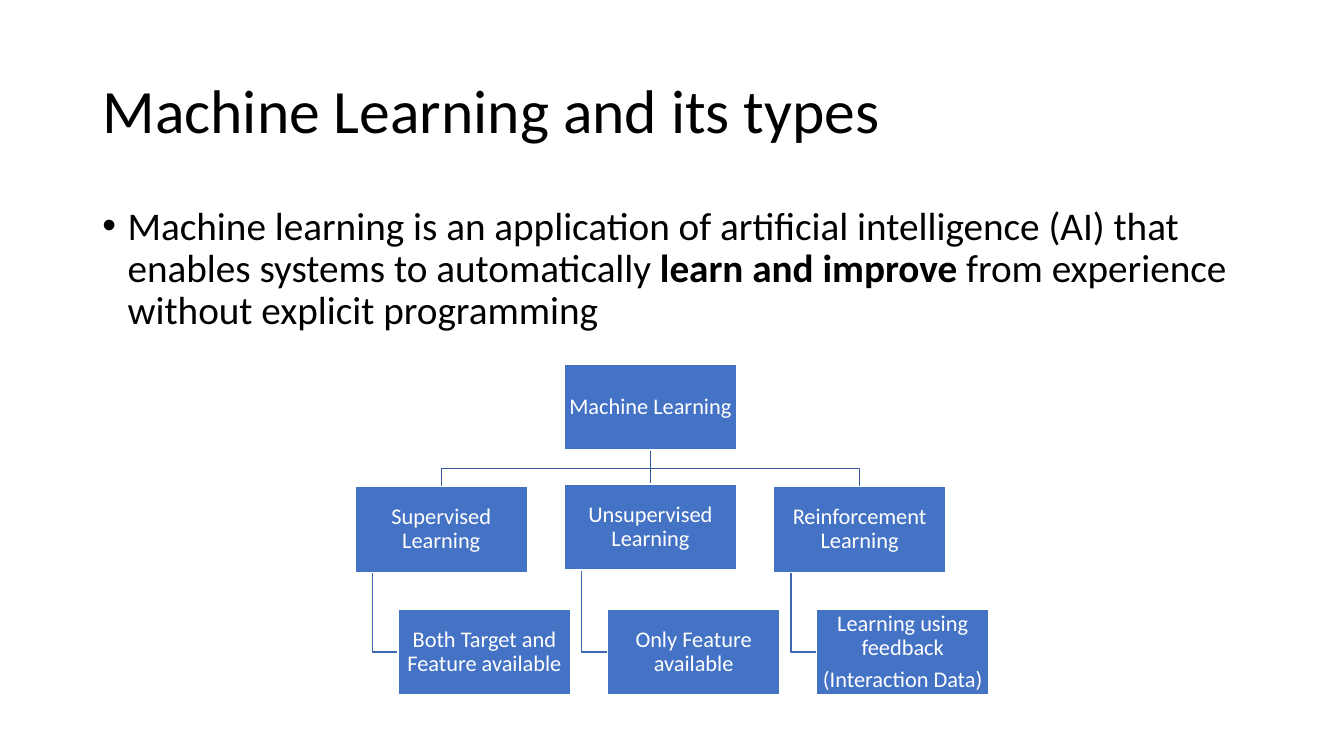
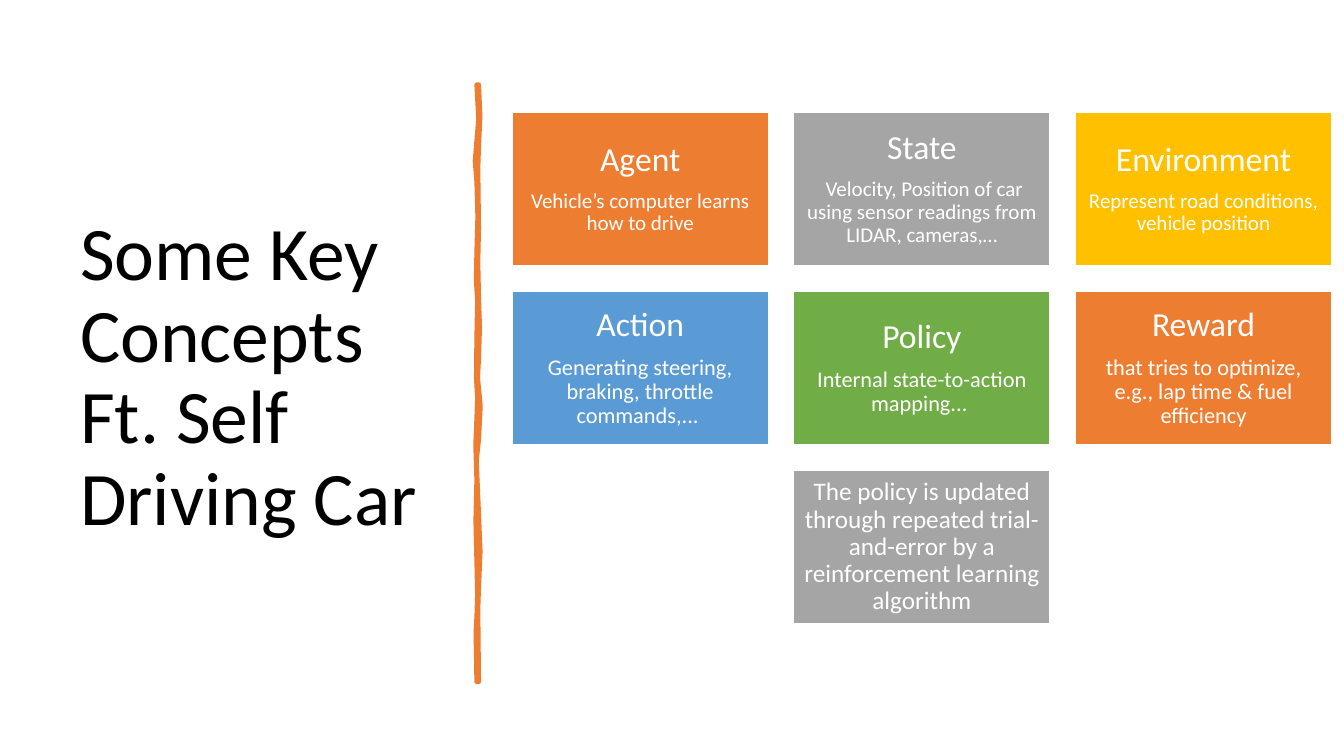
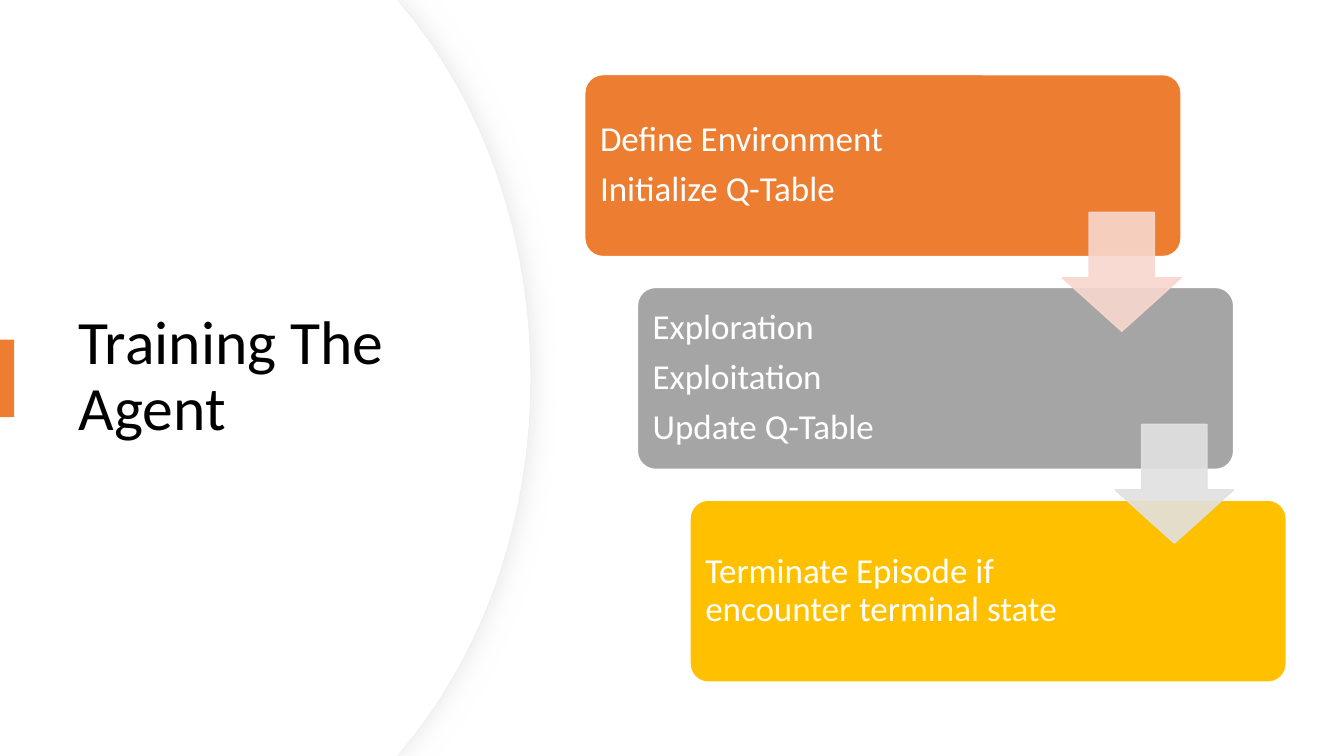
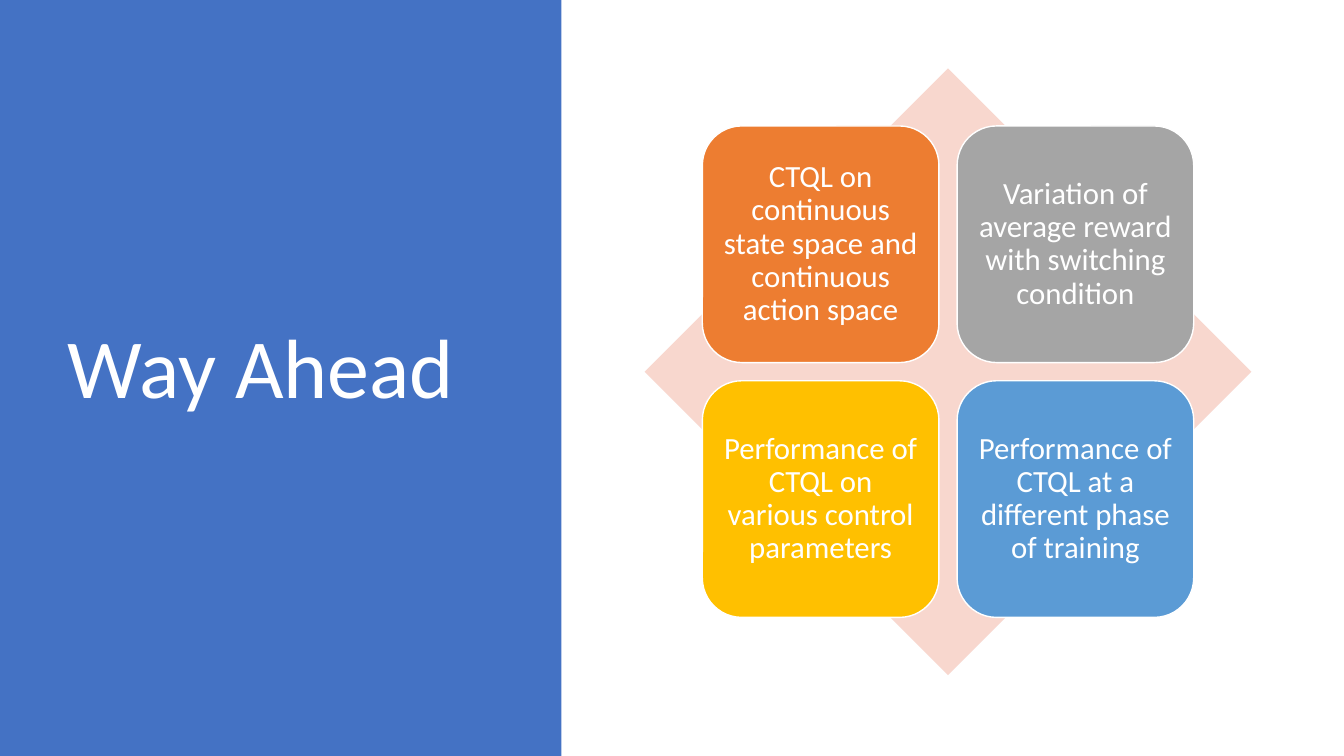
import dataclasses

import lxml.etree
import pptx
import pptx.dml.color
import pptx.enum.shapes
import pptx.enum.text
import pptx.oxml.ns
import pptx.util

Pt = pptx.util.Pt
qn = pptx.oxml.ns.qn
SHAPE = pptx.enum.shapes.MSO_SHAPE
ALIGN = pptx.enum.text.PP_ALIGN
ANCHOR = pptx.enum.text.MSO_ANCHOR


@dataclasses.dataclass(frozen=True)
class Theme:
    font: str = "Calibri"
    black: str = "000000"
    white: str = "FFFFFF"
    blue: str = "4472C4"
    orange: str = "ED7D31"
    grey: str = "A5A5A5"
    gold: str = "FFC000"
    sky: str = "5B9BD5"
    green: str = "70AD47"
    blush: str = "F8D7CE"
    silver: str = "E1E1E1"
    branch: str = "365B9D"
    twig: str = "3E67B2"
    rim: str = "EFEFEF"
    shade: str = "D9D9D9"
    title: int = 44
    title_tall: int = 54
    title_panel: int = 60
    body: int = 28
    node: int = 16
    heading: int = 24
    step: int = 25
    note: int = 18
    plan: int = 22
    spacing: float = 0.9
    after: float = 0.35


THEME = Theme()
TITLE_ONLY = 5
TITLE_AND_CONTENT = 1

DEFINITION = [
    ("Machine learning is an application of artificial intelligence (AI) that "
     "enables systems to automatically ", False),
    ("learn and improve ", True),
    ("from experience without explicit programming", False),
]
ROOT = "Machine Learning"
BRANCHES = [
    ("Supervised Learning", ["Both Target and Feature available"], 347.5),
    ("Unsupervised Learning", ["Only Feature available"], 345.6),
    ("Reinforcement Learning", ["Learning using feedback", "(Interaction Data)"], 347.5),
]
CONCEPTS = [
    ("Agent", "Vehicle’s computer learns how to drive", 15, THEME.orange),
    ("State", " Velocity, Position of car using sensor readings from LIDAR, cameras,…", 15, THEME.grey),
    ("Environment", "Represent road conditions, vehicle position", 15, THEME.gold),
    ("Action", "Generating steering, braking, throttle commands,... ", 16, THEME.sky),
    ("Policy", "Internal state-to-action mapping... ", 16, THEME.green),
    ("Reward", "that tries to optimize, e.g., lap time & fuel efficiency", 16, THEME.orange),
]
POLICY_NOTE = "The policy is updated through repeated trial-and-error by a reinforcement learning algorithm"
STROKE_RIGHT = [
    (60.5, 0), (83, 1), (105, 0), (120, -0.5), (163, 0), (187, -0.5), (212, 0),
    (234, 0.7), (256, 0), (270, -0.7), (290, 1.2), (314, 0), (329, -1.6),
    (367, 0), (394, 1.1), (420, 0), (435, -0.5), (487, 0),
]
STROKE_LEFT = [
    (487, 0), (452, -0.6), (441, 0), (425, 0.5), (401, 0), (372, -0.7), (343, 0),
    (318, -0.8), (299, 0), (284, 0.5), (270, -0.3), (241, 0), (215, 0.5),
    (200, -0.4), (180, 0), (155, 0.7), (130, 0), (115, -1.2), (85, 1.3), (60.5, 0),
]
STEPS = [
    (["Define Environment", "Initialize Q-Table"], THEME.orange),
    (["Exploration", "Exploitation", "Update Q-Table"], THEME.grey),
    (["Terminate Episode if encounter terminal state"], THEME.gold),
]
ARROW_FILLS = [THEME.blush, THEME.silver]
PLANS = [
    ("CTQL on continuous state space and continuous action space", THEME.orange),
    ("Variation of average reward with switching condition", THEME.grey),
    ("Performance of CTQL on various control parameters", THEME.gold),
    ("Performance of CTQL at a different phase of training", THEME.sky),
]


def rgb(value):
    return pptx.dml.color.RGBColor.from_string(value)


def style_para(para, size, color, align, after=0):
    para.alignment = align
    para.line_spacing = THEME.spacing
    para.space_before = Pt(0)
    para.space_after = Pt(after)
    para.font.name = THEME.font
    para.font.size = Pt(size)
    para.font.color.rgb = rgb(color)


def place(shape, left, top, width, height):
    shape.left, shape.top, shape.width, shape.height = map(Pt, (left, top, width, height))


def add_page(deck, layout, title, bounds, size, color=THEME.black):
    page = deck.slides.add_slide(deck.slide_layouts[layout])
    box = page.shapes.title
    place(box, *bounds)
    frame = box.text_frame
    frame.text = title
    frame.word_wrap = True
    frame.auto_size = pptx.enum.text.MSO_AUTO_SIZE.NONE
    frame.vertical_anchor = ANCHOR.MIDDLE
    style_para(frame.paragraphs[0], size, color, ALIGN.LEFT)
    return page


def paint(shape, fill, line=None, width=1):
    shape.shadow.inherit = False
    shape.fill.solid()
    shape.fill.fore_color.rgb = rgb(fill)
    if line:
        shape.line.color.rgb = rgb(line)
        shape.line.width = Pt(width)
    else:
        shape.line.fill.background()


def add_block(page, kind, bounds, fill, line=None):
    shape = page.shapes.add_shape(kind, *map(Pt, bounds))
    paint(shape, fill, line)
    return shape


def write(shape, lines, inset, align=ALIGN.CENTER, right=None):
    frame = shape.text_frame
    frame.word_wrap = True
    frame.vertical_anchor = ANCHOR.MIDDLE
    frame.margin_left = frame.margin_top = frame.margin_bottom = Pt(inset)
    frame.margin_right = Pt(inset if right is None else right)
    for index, (text, size) in enumerate(lines):
        para = frame.add_paragraph() if index else frame.paragraphs[0]
        para.text = text
        style_para(para, size, THEME.white, align, size * THEME.after)


def set_opacity(shape, percent):
    for color in shape._element.spPr.iter(qn("a:srgbClr")):
        lxml.etree.SubElement(color, qn("a:alpha"), val=str(percent * 1000))


def send_to_back(page, shape):
    page.shapes._spTree.insert(2, shape._element)


def add_outline(page, points, close=True):
    corners = [(Pt(x), Pt(y)) for x, y in points]
    builder = page.shapes.build_freeform(*corners[0], scale=1.0)
    builder.add_line_segments(corners[1:], close=close)
    return builder.convert_to_shape()


def add_route(page, points, color):
    if len({x for x, y in points}) == 1:
        route = page.shapes.add_connector(
            pptx.enum.shapes.MSO_CONNECTOR.STRAIGHT, *map(Pt, points[0] + points[-1]))
        lxml.etree.SubElement(route._element.spPr, qn("a:effectLst"))
    else:
        route = add_outline(page, points, close=False)
        route.shadow.inherit = False
        route.fill.background()
    route.line.color.rgb = rgb(color)
    route.line.width = Pt(1)


def build_types(deck):
    page = add_page(deck, TITLE_AND_CONTENT, "Machine Learning and its types",
                    (66, 28.75, 861, 104.4), THEME.title)
    body = page.placeholders[1]
    place(body, 66, 143.75, 828, 342.6)
    body.text_frame.auto_size = pptx.enum.text.MSO_AUTO_SIZE.NONE
    para = body.text_frame.paragraphs[0]
    properties = para._p.get_or_add_pPr()
    properties.set("marL", str(Pt(18)))
    properties.set("indent", str(Pt(-18)))
    style_para(para, THEME.body, THEME.black, ALIGN.LEFT)
    for text, bold in DEFINITION:
        span = para.add_run()
        span.text = text
        span.font.bold = bold

    width, height = 123.3, 61.6
    first_left, pitch, root_top, leaf_top = 253.6, 149.4, 260, 434.9
    leaf_shift, hanger_shift, bus = 30.8, 12.6, 334.8
    root_left = first_left + pitch
    root_center = root_left + width / 2
    nodes = [(root_left, root_top, [ROOT])]
    for index, (name, leaf, top) in enumerate(BRANCHES):
        left = first_left + index * pitch
        center, hanger, middle = left + width / 2, left + hanger_shift, leaf_top + height / 2
        add_route(page, [(root_center, root_top + height), (root_center, bus),
                         (center, bus), (center, top)], THEME.branch)
        add_route(page, [(hanger, top + height), (hanger, middle), (left + leaf_shift, middle)], THEME.twig)
        nodes += [(left, top, [name]), (left + leaf_shift, leaf_top, leaf)]
    for left, top, lines in nodes:
        node = add_block(page, SHAPE.RECTANGLE, (left, top, width, height), THEME.blue, THEME.white)
        write(node, [(line, THEME.node) for line in lines], 0.8)


def build_concepts(deck):
    page = add_page(deck, TITLE_ONLY, "Some Key Concepts\vFt. Self Driving Car",
                    (50, 50.4, 269, 440), THEME.title_tall)
    points = [(x + bulge, y) for x, edge in ((342, STROKE_RIGHT), (340.5, STROKE_LEFT))
              for y, bulge in edge]
    paint(add_outline(page, points), THEME.orange, THEME.orange, 3.25)

    cards = [([(name, THEME.heading), (text, size)], fill, 7.2, divmod(index, 3))
             for index, (name, text, size, fill) in enumerate(CONCEPTS)]
    cards.append(([(POLICY_NOTE, THEME.note)], THEME.grey, 5, (2, 1)))
    for lines, fill, inset, (row, column) in cards:
        bounds = (365.8 + column * 201.2, 80 + row * 128, 183, 109.7)
        write(add_block(page, SHAPE.RECTANGLE, bounds, fill, THEME.white), lines, inset)


def curve(start, pull_start, pull_end, end, count=24):
    for index in range(count + 1):
        t = index / count
        weights = ((1 - t) ** 3, 3 * t * (1 - t) ** 2, 3 * t * t * (1 - t), t ** 3)
        yield tuple(sum(weight * point[axis] for weight, point in
                        zip(weights, (start, pull_start, pull_end, end))) for axis in (0, 1))


def add_panel(page, reach):
    upper = [(283.7, 0), *curve((reach - 90.5, 5.8), (reach - 34.3, 73.4), (reach, 167), (reach, 270))]
    lower = [(x, 540 - y) for x, y in reversed(upper[:-1])]
    return add_outline(page, [(0, 0), *upper, *lower, (0, 540)])


def build_training(deck):
    page = add_page(deck, TITLE_ONLY, "Training The Agent", (49, 91.4, 283.7, 356.4), THEME.title)
    cover = add_panel(page, 378.7)
    paint(cover, THEME.white)
    send_to_back(page, cover)
    panel = add_panel(page, 379.2)
    paint(panel, THEME.white, THEME.rim, 0.75)
    effects = panel._element.spPr.find(qn("a:effectLst"))
    shadow = lxml.etree.SubElement(effects, qn("a:outerShdw"), blurRad=str(Pt(15)),
                                   dist=str(Pt(3)), dir="0", algn="l", rotWithShape="0")
    color = lxml.etree.SubElement(shadow, qn("a:srgbClr"), val=THEME.shade)
    lxml.etree.SubElement(color, qn("a:alpha"), val="50000")
    send_to_back(page, panel)
    add_block(page, SHAPE.RECTANGLE, (0, 242.6, 10.1, 55.4), THEME.orange)

    shift, drop = 37.6, 152
    for index, (lines, fill) in enumerate(STEPS):
        bounds = (417.7 + index * shift, 53.3 + index * drop, 425.9, 130)
        step = add_block(page, SHAPE.ROUNDED_RECTANGLE, bounds, fill, THEME.white)
        step.adjustments[0] = 0.1
        write(step, [(line, THEME.step) for line in lines], 7.2, ALIGN.LEFT, right=130)
    for index, fill in enumerate(ARROW_FILLS):
        bounds = (758.8 + index * shift, 151.7 + index * 151.4, 84.9, 84.9)
        arrow = add_block(page, SHAPE.DOWN_ARROW, bounds, fill, fill)
        arrow.adjustments[0] = 0.55
        arrow.adjustments[1] = 0.45
        set_opacity(arrow, 90)


def build_ahead(deck):
    page = add_page(deck, TITLE_ONLY, "Way Ahead", (41.2, 48.7, 299.5, 433.4),
                    THEME.title_panel, THEME.white)
    send_to_back(page, add_block(page, SHAPE.RECTANGLE, (0, 0, 401, 540), THEME.blue))
    add_block(page, SHAPE.DIAMOND, (460.5, 48.8, 433.4, 433.4), THEME.blush)
    side, pitch = 169, 182
    for index, (text, fill) in enumerate(PLANS):
        row, column = divmod(index, 2)
        bounds = (501.7 + column * pitch, 90 + row * pitch, side, side)
        plan = add_block(page, SHAPE.ROUNDED_RECTANGLE, bounds, fill, THEME.white)
        write(plan, [(text, THEME.plan)], 6.5)


def main():
    deck = pptx.Presentation()
    deck.slide_width, deck.slide_height = Pt(960), Pt(540)
    for build in (build_types, build_concepts, build_training, build_ahead):
        build(deck)
    deck.save("out.pptx")


if __name__ == "__main__":
    main()
